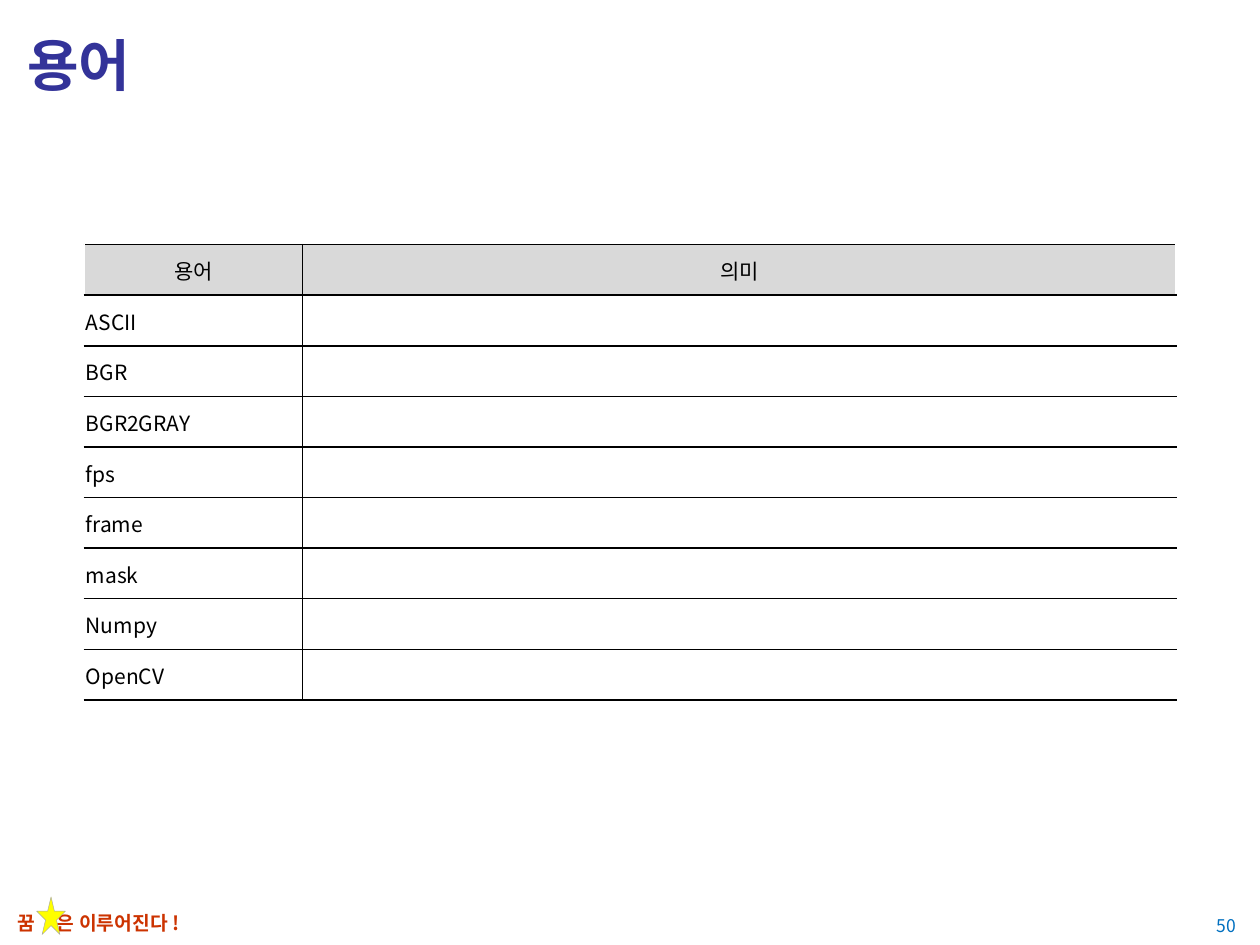
from lxml import etree
from pptx import Presentation
from pptx import util as u
from pptx.dml import color
from pptx.enum import shapes, text
from pptx.oxml import ns

BLACK, WHITE, GRAY = "000000", "FFFFFF", "D9D9D9"
TERMS = ["ASCII", "BGR", "BGR2GRAY", "fps", "frame", "mask", "Numpy", "OpenCV"]


def rgb(value):
    return color.RGBColor.from_string(value)


def child(parent, tag, **attributes):
    return etree.SubElement(parent, ns.qn(tag), attributes)


class SlideBuilder:
    font_name = "Noto Sans CJK KR"

    def __init__(self, slide):
        self.slide = slide

    def add_text(self, paragraph, wording, size, ink, bold=False, align=text.PP_ALIGN.LEFT):
        paragraph.alignment = align
        run = paragraph.add_run()
        run.text = wording
        run.font.name = self.font_name
        run.font.size = u.Pt(size)
        run.font.bold = bold
        run.font.color.rgb = rgb(ink)
        child(run.font._element, "a:ea", typeface=self.font_name)

    def text_box(self, box, wording, size, ink, tab=None, **style):
        frame = self.slide.shapes.add_textbox(*map(u.Cm, box)).text_frame
        frame.word_wrap = True
        frame.vertical_anchor = text.MSO_ANCHOR.MIDDLE
        paragraph = frame.paragraphs[0]
        if tab:
            tabs = child(paragraph._p.get_or_add_pPr(), "a:tabLst")
            child(tabs, "a:tab", pos=str(u.Cm(tab)), algn="l")
        self.add_text(paragraph, wording, size, ink, **style)

    def star(self, box, fill, line):
        shape = self.slide.shapes.add_shape(
            shapes.MSO_SHAPE.STAR_5_POINT, *map(u.Cm, box))
        shape.shadow.inherit = False
        shape.fill.solid()
        shape.fill.fore_color.rgb = rgb(fill)
        shape.line.color.rgb = rgb(line)
        shape.line.width = u.Pt(0.25)

    def borders(self, cell, **sides):
        properties = cell._tc.get_or_add_tcPr()
        for position, (side, ink) in enumerate(sides.items()):
            line = etree.Element(ns.qn(f"a:ln{side}"), w=str(u.Pt(1)))
            child(child(line, "a:solidFill"), "a:srgbClr", val=ink)
            properties.insert(position, line)

    def cell(self, cell, wording, fill, align, left, right):
        cell.fill.solid()
        cell.fill.fore_color.rgb = rgb(fill)
        cell.margin_left = cell.margin_right = cell.margin_top = u.Cm(0.03)
        cell.margin_bottom = 0
        cell.vertical_anchor = text.MSO_ANCHOR.MIDDLE
        if wording:
            self.add_text(cell.text_frame.paragraphs[0], wording, 12, BLACK, align=align)
        self.borders(cell, L=left, R=right, T=BLACK, B=BLACK)

    def table(self, left, top, widths, row_height, rows):
        table = self.slide.shapes.add_table(
            len(rows), len(widths), u.Cm(left), u.Cm(top),
            u.Cm(sum(widths)), u.Cm(row_height * len(rows))).table
        for column, width in zip(table.columns, widths):
            column.width = u.Cm(width)
        last = len(widths) - 1
        for i, row in enumerate(rows):
            table.rows[i].height = u.Cm(row_height)
            fill = WHITE if i else GRAY
            align = text.PP_ALIGN.LEFT if i else text.PP_ALIGN.CENTER
            for j, wording in enumerate(row):
                self.cell(table.cell(i, j), wording, fill, align,
                          BLACK if j else WHITE, WHITE if j == last else BLACK)


def main():
    presentation = Presentation()
    presentation.slide_width = u.Cm(25.4)
    presentation.slide_height = u.Cm(19.05)
    builder = SlideBuilder(presentation.slides.add_slide(presentation.slide_layouts[6]))
    builder.text_box((0.1, 18.24, 13.39, 0.71), "꿈\t은 이루어진다 !", 11, "CC3300",
                     tab=0.8, bold=True)
    builder.star((0.74, 18.08, 0.58, 0.76), "FFFF00", "A6A6A6")
    builder.text_box((0.3, 0.25, 24.8, 2.08), "용어", 32, "333399", bold=True)
    builder.text_box((23.7, 18.21, 1.47, 0.89), "50", 10, "0070C0",
                     align=text.PP_ALIGN.RIGHT)
    builder.table(1.7, 4.93, (4.4, 17.61), 1.02,
                  [("용어", "의미")] + [(term, "") for term in TERMS])
    presentation.save("out.pptx")


if __name__ == "__main__":
    main()
